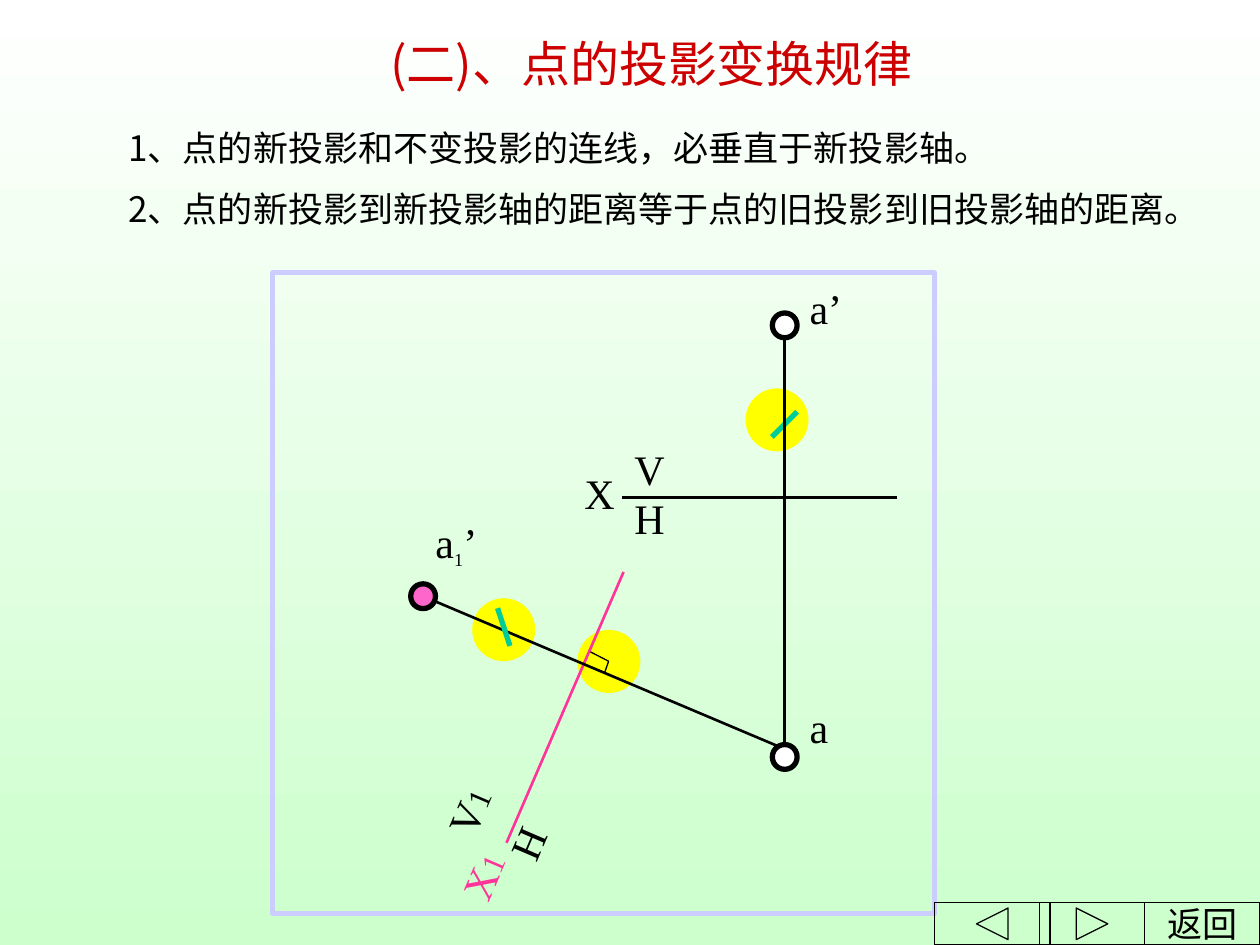
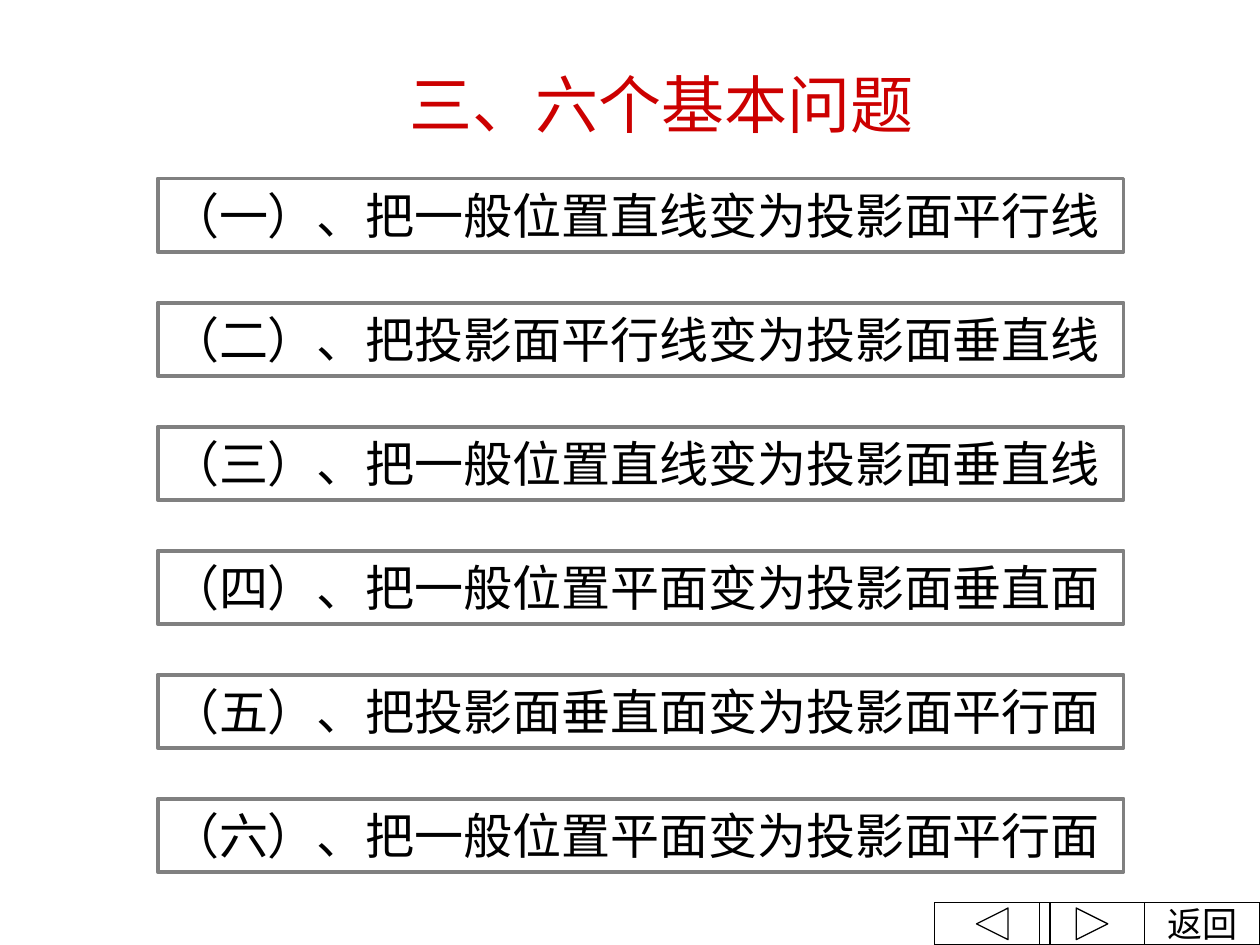
import dataclasses

import lxml.etree
import pptx
import pptx.dml.color
import pptx.enum.shapes
import pptx.enum.text
import pptx.oxml.ns
import pptx.util

Cm = pptx.util.Cm
Pt = pptx.util.Pt
SHAPE = pptx.enum.shapes.MSO_SHAPE
CENTER = pptx.enum.text.PP_ALIGN.CENTER
MIDDLE = pptx.enum.text.MSO_ANCHOR.MIDDLE


@dataclasses.dataclass(frozen=True)
class Theme:
    """Colours, fonts and type sizes shared by the slides."""
    black: str = "000000"
    white: str = "FFFFFF"
    mint: str = "CCFFCC"
    red: str = "CC0000"
    lilac: str = "CCCCFF"
    yellow: str = "FFFF00"
    pink: str = "FF3399"
    rose: str = "FF66CC"
    teal: str = "00CC99"
    grey: str = "808080"
    latin: str = "Times New Roman"
    chinese: str = "Noto Sans CJK JP"
    chapter_size: float = 36
    heading_size: float = 28
    label_size: float = 24
    body_size: float = 20
    index_size: float = 18
    hairline: float = 0.75
    thin: float = 1.5
    border: float = 2.25
    thick: float = 3


THEME = Theme()


@dataclasses.dataclass(frozen=True)
class Box:
    """A rectangle in centimetres."""
    left: float
    top: float
    width: float
    height: float

    def inner(self, left, top, width, height):
        """Return a box placed relative to this one."""
        return Box(self.left + left, self.top + top, width, height)

    def point(self, spot):
        """Return a relative point as slide lengths."""
        return Cm(self.left + spot[0]), Cm(self.top + spot[1])

    def lengths(self):
        """Return left, top, width and height as slide lengths."""
        return [Cm(value) for value in dataclasses.astuple(self)]


def rgb(code):
    """Return a colour from its hex code."""
    return pptx.dml.color.RGBColor.from_string(code)


def add_span(para, text, size, color=THEME.black, latin=THEME.latin, asian=THEME.chinese):
    """Add one run with its fonts, size and colour."""
    span = para.add_run()
    span.text = text
    span.font.size = Pt(size)
    span.font.name = latin
    span.font.color.rgb = rgb(color)
    props = span.font._element
    lxml.etree.SubElement(props, pptx.oxml.ns.qn("a:ea"), typeface=asian)
    return span


def add_text_box(page, box):
    """Add an empty wrapping text box and return it."""
    text_box = page.shapes.add_textbox(*box.lengths())
    text_box.text_frame.word_wrap = True
    return text_box


def add_title(page, box, text, size, latin=THEME.latin):
    """Add a centred red title."""
    para = add_text_box(page, box).text_frame.paragraphs[0]
    para.alignment = CENTER
    add_span(para, text, size, THEME.red, latin)


def style_shape(shape, fill=None, line=None, width=THEME.hairline):
    """Set fill and outline, leaving out whichever is not given."""
    shape.shadow.inherit = False
    if fill:
        shape.fill.solid()
        shape.fill.fore_color.rgb = rgb(fill)
    else:
        shape.fill.background()
    if line:
        shape.line.color.rgb = rgb(line)
        shape.line.width = Pt(width)
    else:
        shape.line.fill.background()


def add_figure(page, kind, box, **style):
    """Add a styled preset shape."""
    shape = page.shapes.add_shape(kind, *box.lengths())
    style_shape(shape, **style)
    return shape


def write_in(shape, text, size, alignment):
    """Write one unwrapped line in the middle of a shape."""
    frame = shape.text_frame
    frame.word_wrap = False
    frame.vertical_anchor = MIDDLE
    para = frame.paragraphs[0]
    para.alignment = alignment
    add_span(para, text, size)


def add_line(page, box, start, end, color=THEME.black, width=THEME.thin):
    """Add a straight line between two points of a box."""
    line = page.shapes.add_connector(
        pptx.enum.shapes.MSO_CONNECTOR.STRAIGHT, *box.point(start), *box.point(end))
    line.line.color.rgb = rgb(color)
    line.line.width = Pt(width)
    props = line._element.spPr
    lxml.etree.SubElement(props, pptx.oxml.ns.qn("a:effectLst"))


def add_label(page, box, letter, index="", mark="", color=THEME.black, lowered=False, turn=0):
    """Add a diagram label with an optional index and prime mark."""
    label = add_text_box(page, box)
    label.rotation = turn
    para = label.text_frame.paragraphs[0]
    for text, size in ((letter, THEME.label_size), (index, THEME.index_size),
                       (mark, THEME.label_size)):
        if text:
            span = add_span(para, text, size, color, asian=THEME.latin)
            if lowered and text == index:
                span.font._element.set("baseline", "-25000")


def add_navigation(page, box):
    """Add the back, forward and return buttons."""
    add_figure(page, SHAPE.RECTANGLE, box.inner(4.23, 0, 2.33, box.height), line=THEME.black)
    home = page.shapes[-1]
    write_in(home, "返回", THEME.body_size, CENTER)
    for kind, left, width in ((SHAPE.ACTION_BUTTON_BACK_OR_PREVIOUS, 0, 2.33),
                              (SHAPE.ACTION_BUTTON_FORWARD_OR_NEXT, 2.12, 2.11)):
        add_figure(page, kind, box.inner(left, 0, width, box.height), line=THEME.black)


def add_rules(page, box, rules):
    """Add the numbered rules as paragraphs."""
    frame = add_text_box(page, box).text_frame
    for number, rule in enumerate(rules):
        para = frame.add_paragraph() if number else frame.paragraphs[0]
        para.line_spacing = Pt(22)
        if number:
            para.space_before = Pt(12.5)
        add_span(para, rule, THEME.body_size, latin=THEME.chinese)


def add_projection(page, box):
    """Draw the change of projection plane for a point."""
    front, top, new = (10.32, 1.06), (10.32, 9.76), (3.03, 6.52)
    for left, upper in ((6.14, 7.2), (4.02, 6.56), (9.53, 2.33)):
        add_figure(page, SHAPE.OVAL, box.inner(left, upper, 1.27, 1.27), fill=THEME.yellow)

    corner = [box.point(spot) for spot in ((6.36, 7.62), (6.77, 7.83), (6.69, 8.06))]
    builder = page.shapes.build_freeform(*corner[0])
    builder.add_line_segments(corner[1:], close=False)
    style_shape(builder.convert_to_shape(), line=THEME.black)

    add_figure(page, SHAPE.RECTANGLE, box, line=THEME.lilac, width=THEME.thick)
    add_line(page, box, (7.07, 6.03), (4.71, 11.49), THEME.pink)
    add_line(page, box, new, (10.32, 9.6))
    add_line(page, box, (10.57, 2.8), (10.06, 3.31), THEME.teal, THEME.thick)
    add_line(page, box, (4.53, 6.76), (4.78, 7.52), THEME.teal, THEME.thick)
    add_line(page, box, (7.04, 4.53), (12.58, 4.53))
    add_line(page, box, front, top)

    for (x, y), fill in ((new, THEME.rose), (top, THEME.white), (front, THEME.white)):
        add_figure(page, SHAPE.OVAL, box.inner(x - 0.25, y - 0.25, 0.5, 0.5),
                   fill=fill, line=THEME.black, width=THEME.thick)

    tilt = 293.1
    labels = (
        (3.18, 11.03, 2.49, dict(letter="X", index="1", color=THEME.pink, turn=tilt)),
        (4.53, 10.8, 1.24, dict(letter="H", turn=tilt)),
        (3.08, 9.99, 1.9, dict(letter="V", index="1", turn=tilt)),
        (3.03, 4.78, 1.75, dict(letter="a", index="1", mark="’", lowered=True)),
        (10.57, 0.08, 2, dict(letter="a’")),
        (6.03, 3.79, 1.5, dict(letter="X")),
        (7.04, 3.31, 1.27, dict(letter="V")),
        (7.04, 4.3, 1.27, dict(letter="H")),
        (10.57, 8.51, 1.75, dict(letter="a")),
    )
    for left, upper, width, content in labels:
        add_label(page, box.inner(left, upper, width, 1.27), **content)


def add_problem_list(page, box, problems, pitch=2.5, height=1.48):
    """Stack one framed line for each problem."""
    for row, problem in enumerate(problems):
        bar = add_figure(page, SHAPE.RECTANGLE, box.inner(0, row * pitch, box.width, height),
                         fill=THEME.white, line=THEME.grey, width=THEME.border)
        write_in(bar, problem, THEME.heading_size, pptx.enum.text.PP_ALIGN.LEFT)


def build_rule_page(page):
    """Build the slide on the projection rules of a point."""
    fill = page.background.fill
    fill.gradient()
    fill.gradient_angle = 270
    for stop, color in zip(fill.gradient_stops, (THEME.white, THEME.mint)):
        stop.color.rgb = rgb(color)
    add_projection(page, Box(5.5, 5.5, 13.34, 12.91))
    add_title(page, Box(2.34, 0.55, 21.59, 1.6), "(二)、点的投影变换规律",
              THEME.heading_size, THEME.chinese)
    add_rules(page, Box(2.34, 2.5, 21.59, 2.6), (
        "1、点的新投影和不变投影的连线，必垂直于新投影轴。",
        "2、点的新投影到新投影轴的距离等于点的旧投影到旧投影轴的距离。",
    ))


def build_problem_page(page):
    """Build the slide that lists the six basic problems."""
    page.background.fill.solid()
    page.background.fill.fore_color.rgb = rgb(THEME.white)
    add_title(page, Box(3.18, 1.2, 20.32, 1.9), "三、六个基本问题", THEME.chapter_size)
    add_problem_list(page, Box(3.18, 3.6, 19.47, 13.98), (
        "（一）、把一般位置直线变为投影面平行线",
        "（二）、把投影面平行线变为投影面垂直线",
        "（三）、把一般位置直线变为投影面垂直线",
        "（四）、把一般位置平面变为投影面垂直面",
        "（五）、把投影面垂直面变为投影面平行面",
        "（六）、把一般位置平面变为投影面平行面",
    ))


def main():
    """Build both slides and save the deck."""
    deck = pptx.Presentation()
    deck.slide_width, deck.slide_height = Cm(25.4), Cm(19.05)
    for build in (build_rule_page, build_problem_page):
        page = deck.slides.add_slide(deck.slide_layouts[6])
        build(page)
        add_navigation(page, Box(18.84, 18.2, 6.56, 0.85))
    deck.save("out.pptx")


if __name__ == "__main__":
    main()
